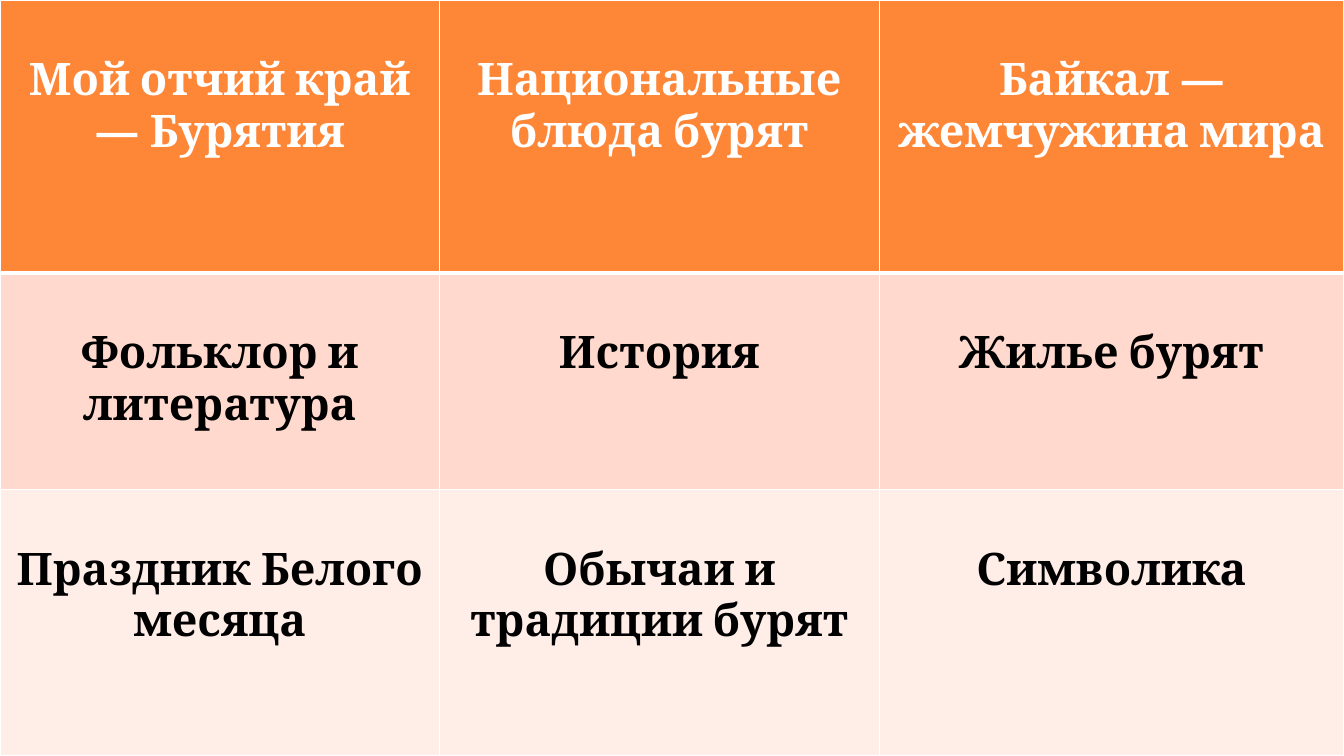
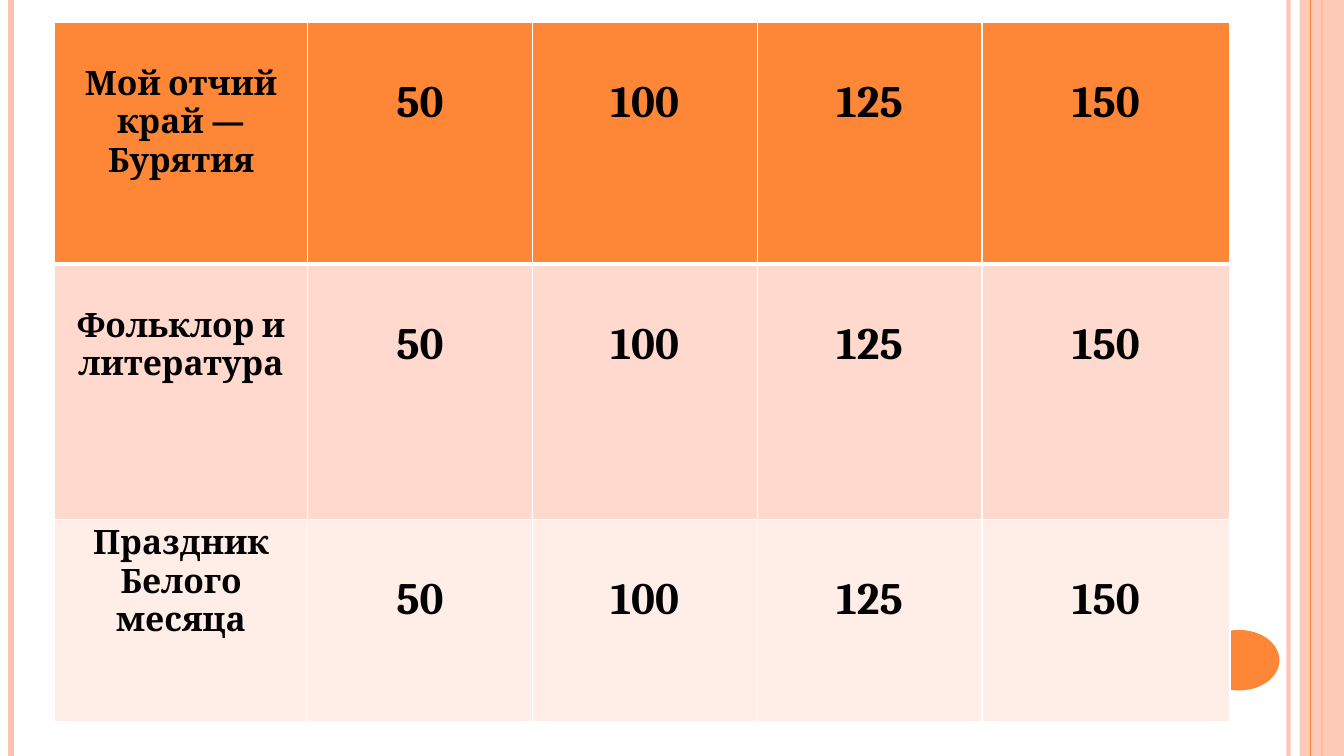
from dataclasses import dataclass
from typing import Any, Optional

import lxml.etree
import pptx
import pptx.dml.color
import pptx.enum.shapes
import pptx.enum.text
import pptx.oxml.ns
import pptx.util

Inches = pptx.util.Inches
qn = pptx.oxml.ns.qn


@dataclass(frozen=True)
class Theme:
    font: str = "Cambria"
    accent: str = "FE8637"
    stripe: str = "FEC3AE"
    light: str = "FFFFFF"
    dark: str = "000000"
    row_fills: tuple[str, ...] = ("FE8637", "FFD9CE", "FFEDE8")
    large: int = 32
    small: int = 24
    thin_rule: float = 1
    header_rule: float = 3
    cell_inset: float = 0.05
    lead: float = 1.12


@dataclass(frozen=True)
class Stripe:
    x: float
    width: float
    color: str
    opacity: Optional[int] = None


@dataclass(frozen=True)
class Entry:
    text: str
    size: int
    color: str
    lead: bool = True


@dataclass(frozen=True)
class Board:
    left: float
    top: float
    columns: tuple[float, ...]
    rows: tuple[float, ...]
    entries: list[list[Entry]]


THEME = Theme()
SLIDE_WIDTH, SLIDE_HEIGHT = 13.33, 7.5

LEFT_AND_INNER_STRIPES = (
    Stripe(12.78, 3, THEME.stripe, 93),
    Stripe(0.11, 4.5, THEME.stripe),
    Stripe(13.11, 1.5, THEME.accent),
)
BAND_EDGE = Stripe(13, 0.75, THEME.accent)

TOPICS = (
    ("Мой отчий край — Бурятия", "Национальные блюда бурят", "Байкал — жемчужина мира"),
    ("Фольклор и литература", "История", "Жилье бурят"),
    ("Праздник Белого месяца", "Обычаи и традиции бурят", "Символика"),
)
POINTS = ("50", "100", "125", "150")


def rgb(color: str) -> pptx.dml.color.RGBColor:
    return pptx.dml.color.RGBColor.from_string(color)


def set_opacity(properties: Any, percent: int) -> None:
    color = next(properties.iter(qn("a:srgbClr")))
    lxml.etree.SubElement(color, qn("a:alpha"), val=str(percent * 1000))


def draw_stripe(shapes: Any, stripe: Stripe) -> Any:
    x = Inches(stripe.x)
    line = shapes.add_connector(
        pptx.enum.shapes.MSO_CONNECTOR.STRAIGHT, x, 0, x, Inches(SLIDE_HEIGHT)
    )
    line.line.width = pptx.util.Pt(stripe.width)
    line.line.color.rgb = rgb(stripe.color)
    properties = line.element.spPr
    if stripe.opacity is not None:
        set_opacity(properties, stripe.opacity)
    lxml.etree.SubElement(properties, qn("a:effectLst"))
    return line


def draw_solid(shapes: Any, kind: Any, box: tuple[float, ...], color: str,
               opacity: Optional[int] = None) -> Any:
    solid = shapes.add_shape(kind, *map(Inches, box))
    solid.shadow.inherit = False
    solid.fill.solid()
    solid.fill.fore_color.rgb = rgb(color)
    solid.line.fill.background()
    if opacity is not None:
        set_opacity(solid.element.spPr, opacity)
    return solid


def decorate_layout(layout: Any, shapes: Any) -> None:
    preset = pptx.enum.shapes.MSO_SHAPE
    decorations = [draw_stripe(shapes, stripe) for stripe in LEFT_AND_INNER_STRIPES]
    decorations += [
        draw_solid(shapes, preset.RECTANGLE, (12.89, 0, 0.44, SLIDE_HEIGHT), THEME.stripe, 87),
        draw_stripe(shapes, BAND_EDGE),
        draw_solid(shapes, preset.OVAL, (11.89, 6.25, 0.8, 0.6), THEME.accent),
    ]
    for decoration in decorations:
        layout.shapes.element.append(decoration.element)


def write_text(frame: Any, text: str, *, size: int, color: str, bold: bool = True) -> None:
    frame.word_wrap = True
    paragraph = frame.paragraphs[0]
    paragraph.alignment = pptx.enum.text.PP_ALIGN.CENTER
    run = paragraph.add_run()
    run.text = text
    run.font.name = THEME.font
    run.font.size = pptx.util.Pt(size)
    run.font.bold = bold
    run.font.color.rgb = rgb(color)


def set_borders(cell: Any, row: int) -> None:
    properties = cell._tc.get_or_add_tcPr()
    widths = dict.fromkeys(("lnL", "lnR", "lnT", "lnB"), THEME.thin_rule)
    if row == 0:
        widths["lnB"] = THEME.header_rule
    elif row == 1:
        widths["lnT"] = THEME.header_rule
    for side, width in widths.items():
        border = lxml.etree.SubElement(
            properties, qn(f"a:{side}"), w=str(pptx.util.Pt(width))
        )
        fill = lxml.etree.SubElement(border, qn("a:solidFill"))
        lxml.etree.SubElement(fill, qn("a:srgbClr"), val=THEME.light)


def draw_board(shapes: Any, board: Board) -> None:
    table = shapes.add_table(
        len(board.rows), len(board.columns), Inches(board.left), Inches(board.top),
        Inches(sum(board.columns)), Inches(sum(board.rows)),
    ).table
    table.horz_banding = False
    for column, width in zip(table.columns, board.columns):
        column.width = Inches(width)
    for index, (row, height) in enumerate(zip(table.rows, board.rows)):
        row.height = Inches(height)
        for cell, entry in zip(row.cells, board.entries[index]):
            set_borders(cell, index)
            cell.fill.solid()
            cell.fill.fore_color.rgb = rgb(THEME.row_fills[index])
            lead = THEME.lead * entry.size / 72 if entry.lead else 0
            cell.margin_top = Inches(THEME.cell_inset + lead)
            write_text(cell.text_frame, entry.text, size=entry.size, color=entry.color)


def topics_board() -> Board:
    entries = [
        [Entry(topic, THEME.large, THEME.dark if row else THEME.light) for topic in topics]
        for row, topics in enumerate(TOPICS)
    ]
    return Board(0, 0, (4.36, 4.36, 4.61), (2.71, 2.15, 2.64), entries)


def points_board() -> Board:
    scores = [Entry(points, THEME.large, THEME.dark) for points in POINTS]
    last = len(TOPICS) - 1
    entries = [
        [Entry(topics[0], THEME.small, THEME.dark, lead=row != last), *scores]
        for row, topics in enumerate(TOPICS)
    ]
    return Board(0.54, 0.22, (2.51, 2.23, 2.23, 2.23, 2.46), (2.4, 2.53, 2.01), entries)


def main() -> None:
    deck = pptx.Presentation()
    deck.slide_width = Inches(SLIDE_WIDTH)
    deck.slide_height = Inches(SLIDE_HEIGHT)
    blank = deck.slide_layouts[6]
    slides = [deck.slides.add_slide(blank) for _ in range(2)]
    decorate_layout(blank, slides[0].shapes)
    for slide, board in zip(slides, (topics_board(), points_board())):
        draw_board(slide.shapes, board)
    deck.save("out.pptx")


if __name__ == "__main__":
    main()
